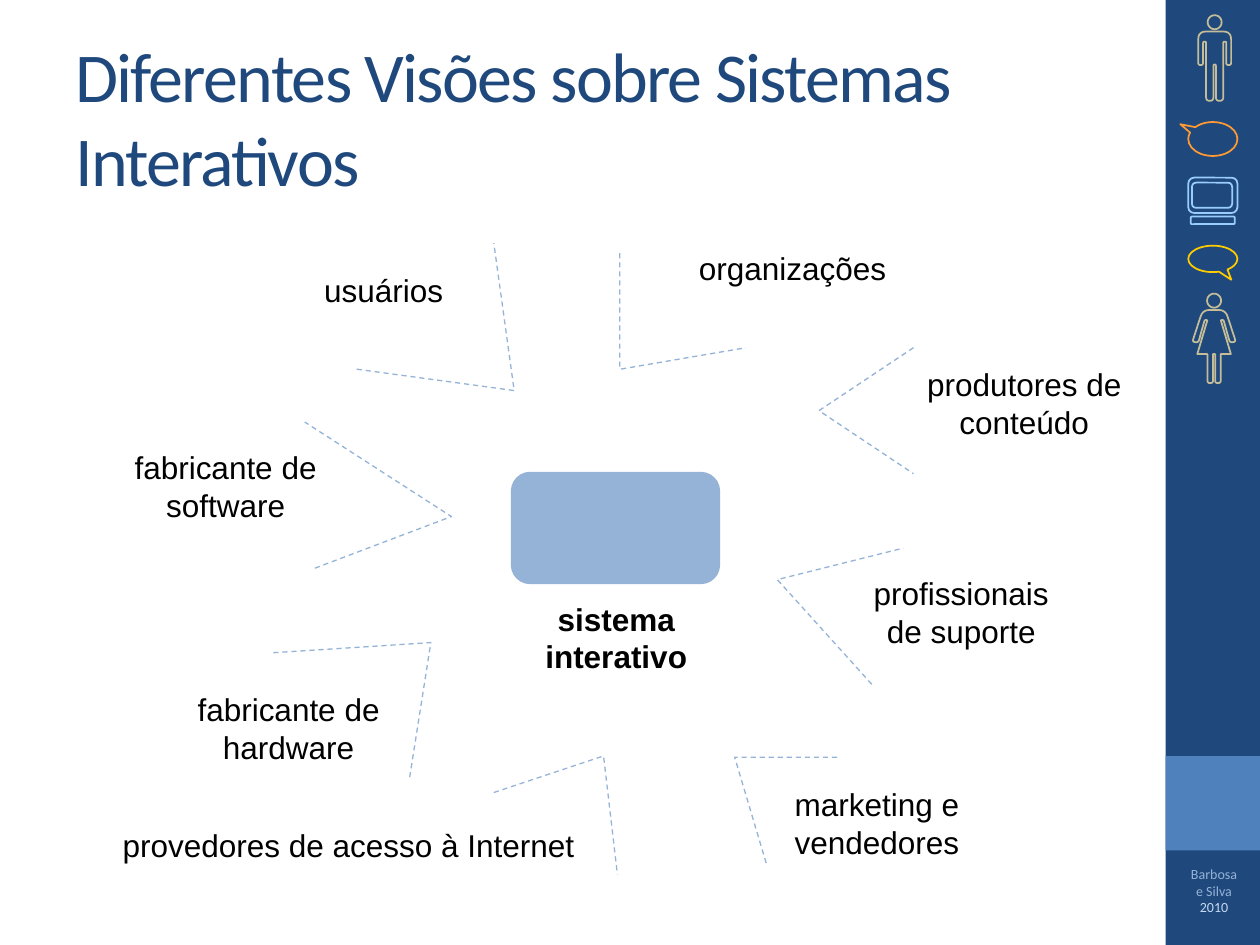
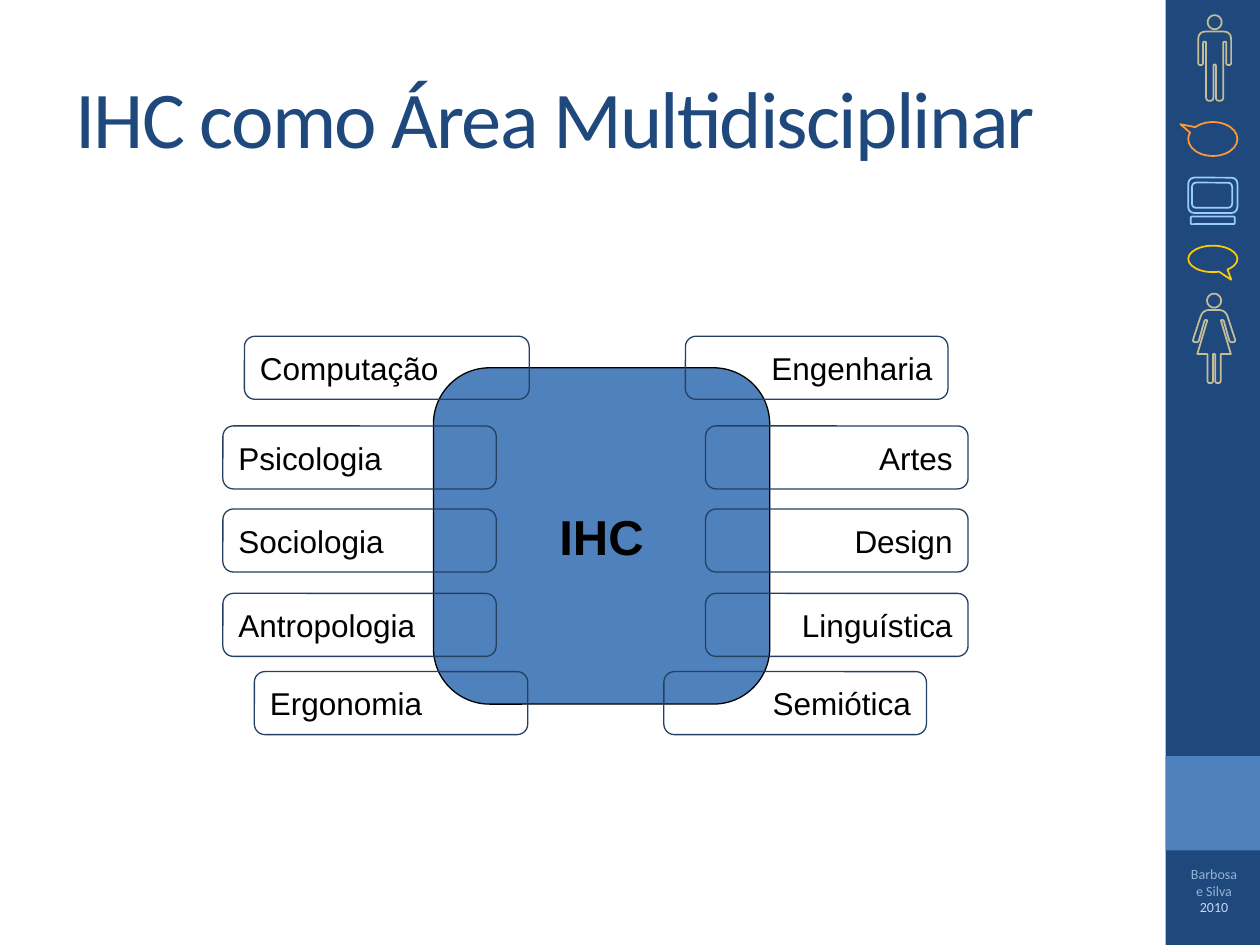
"""Builds two slides on interactive systems and the disciplines behind HCI."""
from math import cos, pi, sin

from pptx import Presentation
from pptx.dml.color import RGBColor
from pptx.enum.dml import MSO_LINE
from pptx.enum.shapes import MSO_SHAPE
from pptx.enum.text import MSO_ANCHOR, MSO_AUTO_SIZE, PP_ALIGN
from pptx.util import Pt

RECT = MSO_SHAPE.RECTANGLE
ROUNDED = MSO_SHAPE.ROUNDED_RECTANGLE
SOFT_BOX = MSO_SHAPE.FLOWCHART_ALTERNATE_PROCESS
BALLOON = MSO_SHAPE.OVAL_CALLOUT
DASH = MSO_LINE.DASH
LEFT, CENTER, RIGHT = PP_ALIGN.LEFT, PP_ALIGN.CENTER, PP_ALIGN.RIGHT
MIDDLE = MSO_ANCHOR.MIDDLE
GROW = MSO_AUTO_SIZE.SHAPE_TO_FIT_TEXT

COLORS = {
    "navy": "1F497D", "blue": "4F81BD", "pale": "95B3D7", "ice": "C6D9F1",
    "sand": "C4BD97", "orange": "FF9933", "sky": "99CCFF", "gold": "FFCC00",
    "outline": "254061", "black": "000000",
}
BODY = {"name": "Arial", "size": Pt(18)}
BODY_BOLD = {**BODY, "bold": True}
CORE = {**BODY_BOLD, "size": Pt(28)}
CREDIT = {"name": "Calibri", "size": Pt(8)}

# Right half of each figure: distance from its axis, height, corner radius.
MAN = [(9.4, 18, 4.5), (9.4, 37.2, 1.4), (6.6, 37.2, 1.4), (6.6, 23.8, 0.8),
       (4.9, 23.8, 0.8), (4.9, 57.6, 2), (0.7, 57.6, 2), (0.7, 36.9, 0.7)]
WOMAN = [(6.5, 177.1, 4), (12.4, 195.3, 1.5), (9, 195.7, 1.5),
         (5.4, 182.9, 0.6), (3.8, 182.9, 0.6), (9.6, 202.3, 0),
         (3.8, 202.3, 0), (3.8, 218.9, 1.5), (0.6, 218.9, 1.5),
         (0.6, 202.3, 0)]

VIEWS = [
    ("usuários", (174.2, 151.2, 90, 28.8),
     [(203.8, 211), (293.8, 223.2), (282.2, 139)]),
    ("fabricante de hardware", (95.8, 391, 138.2, 50.4),
     [(156.2, 373), (246.2, 367.2), (234, 445)]),
    ("fabricante de software", (59.8, 252.7, 138.2, 50.4),
     [(180, 324.7), (258, 295.2), (174.2, 241.2)]),
    ("marketing e vendedores", (432, 445, 138.2, 50.4),
     [(437.8, 493.2), (419.8, 432.7), (480.2, 432.7)]),
    ("profissionais de suporte", (480.2, 324.7, 138.2, 50.4),
     [(498.2, 391), (444.2, 331.2), (516.2, 313.2)]),
    ("produtores de conteúdo", (516.2, 205.2, 138.2, 50.4),
     [(522, 198.7), (468, 234.7), (522, 270.7)]),
    ("organizações", (383.8, 139, 138.2, 28.8),
     [(354.2, 144.7), (354.2, 211), (426.2, 198.7)]),
    ("provedores de acesso à Internet", (61.2, 468.7, 275.8, 28.8),
     [(282.2, 452.9), (344.9, 432), (352.8, 499.7)]),
]

# Top of the row, then name, left and width of its two disciplines.
DISCIPLINES = [
    (192.2, ("Computação", 139.7, 162.7), ("Engenharia", 391.7, 150)),
    (243.4, ("Psicologia", 127.4, 156.2), ("Artes", 403.2, 150)),
    (290.9, ("Sociologia", 127.4, 156.2), ("Design", 403.2, 150)),
    (339.1, ("Antropologia", 127.4, 156.2), ("Linguística", 403.2, 150)),
    (383.8, ("Ergonomia", 145.4, 156.2), ("Semiótica", 379.4, 150)),
]


def rgb(color):
    """Return the named colour."""
    return RGBColor.from_string(COLORS[color])


def apply(target, values):
    """Set attributes of target from a dict."""
    for name, value in values.items():
        setattr(target, name, value)


def paint(shape, fill=None, line=None, width=0.75):
    """Give a shape its fill and line, without shadow."""
    shape.shadow.inherit = False
    if fill:
        shape.fill.solid()
        shape.fill.fore_color.rgb = rgb(fill)
    else:
        shape.fill.background()
    if line:
        shape.line.color.rgb = rgb(line)
        shape.line.width = Pt(width)
    else:
        shape.line.fill.background()


def add_box(slide, kind, box, adjustments=(), **look):
    """Add a painted preset shape."""
    shape = slide.shapes.add_shape(kind, *map(Pt, box))
    for index, value in enumerate(adjustments):
        shape.adjustments[index] = value
    paint(shape, **look)
    return shape


def write(shape, runs, font, align, **frame):
    """Write one paragraph of (text, colour) runs into a shape."""
    apply(shape.text_frame, frame)
    paragraph = shape.text_frame.paragraphs[0]
    paragraph.alignment = align
    for text, color in runs:
        run = paragraph.add_run()
        run.text = text
        apply(run.font, font)
        run.font.color.rgb = rgb(color)
    return paragraph


def add_text(slide, box, runs, font, align=CENTER, **frame):
    """Add a wrapping text box and return its paragraph."""
    text_box = slide.shapes.add_textbox(*map(Pt, box))
    return write(text_box, runs, font, align, word_wrap=True, **frame)


def add_outline(slide, contours, color, width, close):
    """Add an unfilled freeform of one or more contours."""
    contours = [[(Pt(x), Pt(y)) for x, y in contour] for contour in contours]
    builder = slide.shapes.build_freeform(*contours[0][0])
    for index, (start, *rest) in enumerate(contours):
        if index:
            builder.move_to(*start)
        builder.add_line_segments(rest, close=close)
    outline = builder.convert_to_shape()
    paint(outline, line=color, width=width)
    return outline


def toward(start, end, distance):
    """Return the point at a distance from start on the way to end."""
    dx, dy = end[0] - start[0], end[1] - start[1]
    share = distance / (dx * dx + dy * dy) ** 0.5
    return start[0] + dx * share, start[1] + dy * share


def round_corners(corners, steps=5):
    """Return the polygon with each corner bent by its radius."""
    points = []
    for index, (x, y, radius) in enumerate(corners):
        if not radius:
            points.append((x, y))
            continue
        following = corners[(index + 1) % len(corners)]
        enter = toward((x, y), corners[index - 1], radius)
        leave = toward((x, y), following, radius)
        for step in range(steps + 1):
            t = step / steps
            points.append(tuple(
                (1 - t) ** 2 * a + 2 * t * (1 - t) * b + t * t * c
                for a, b, c in zip(enter, (x, y), leave)))
    return points


def add_person(slide, half, axis, head_y, radius=4):
    """Add a symmetric figure with a round head."""
    right = [(axis + x, y, bend) for x, y, bend in half]
    left = [(axis - x, y, bend) for x, y, bend in reversed(half)]
    angles = [2 * pi * step / 24 for step in range(24)]
    head = [(axis + radius * cos(a), head_y + radius * sin(a)) for a in angles]
    add_outline(slide, [round_corners(right + left), head], "sand", 1, True)


def add_sidebar(slide):
    """Add the band with its icons and the credit."""
    add_box(slide, RECT, (666, 0, 54, 540), fill="navy")
    add_box(slide, RECT, (666, 432, 54, 54), fill="blue")
    add_person(slide, WOMAN, 693.8, 171.8)
    add_person(slide, MAN, 694.1, 12.7)
    add_box(slide, BALLOON, (679, 69.8, 28.1, 19.4), (-0.662, -0.436),
            line="orange", width=1)
    for part in ((679, 101.5, 28.1, 20.2), (681.1, 104.4, 23, 14.4),
                 (680.4, 123.8, 25.2, 4.3)):
        add_box(slide, ROUNDED, part, line="sky", width=1)
    add_box(slide, BALLOON, (679, 140.4, 28.1, 15.1), (0.376, 0.789),
            line="gold", width=1)
    add_text(slide, (671.8, 491, 43.9, 39.6),
             [("Barbosa e Silva ", "pale"), ("2010", "ice")], CREDIT)


def start_slide(deck, title, size):
    """Add a slide with sidebar and title."""
    slide = deck.slides.add_slide(deck.slide_layouts[6])
    add_sidebar(slide)
    paragraph = add_text(slide, (36, 21.6, 600, 90), [(title, "navy")],
                         {"name": "Calibri", "size": Pt(size)}, LEFT,
                         vertical_anchor=MIDDLE)
    paragraph.runs[0].font._element.set("spc", "-100")
    return slide


def add_views(deck):
    """Add the slide of the views around the interactive system."""
    slide = start_slide(deck, "Diferentes Visões sobre Sistemas Interativos", 40)
    add_text(slide, (295.2, 339.1, 113.8, 50.4),
             [("sistema interativo", "black")], BODY_BOLD, auto_size=GROW)
    for label, box, sight in VIEWS:
        add_text(slide, box, [(label, "black")], BODY, auto_size=GROW)
        angle = add_outline(slide, [sight], "pale", 0.75, False)
        angle.line.dash_style = DASH
    add_box(slide, SOFT_BOX, (292.3, 270, 118.8, 63.4), fill="pale", line="pale")


def add_disciplines(deck):
    """Add the slide of the disciplines that meet in HCI."""
    slide = start_slide(deck, "IHC como Área Multidisciplinar", 46)
    core = add_box(slide, ROUNDED, (247.7, 210.2, 192.2, 192.2), (0.167,),
                   fill="blue", line="black")
    write(core, [("IHC", "black")], CORE, CENTER, vertical_anchor=MIDDLE,
          word_wrap=False, margin_left=Pt(1.44), margin_right=Pt(1.44))
    for top, *pair in DISCIPLINES:
        for (name, left, width), align in zip(pair, (LEFT, RIGHT)):
            field = add_box(slide, SOFT_BOX, (left, top, width, 36),
                            line="outline")
            write(field, [(name, "black")], BODY, align,
                  vertical_anchor=MIDDLE, word_wrap=False)


def main():
    """Build and save the deck."""
    deck = Presentation()
    apply(deck, {"slide_width": Pt(720), "slide_height": Pt(540)})
    add_views(deck)
    add_disciplines(deck)
    deck.save("out.pptx")


if __name__ == "__main__":
    main()
